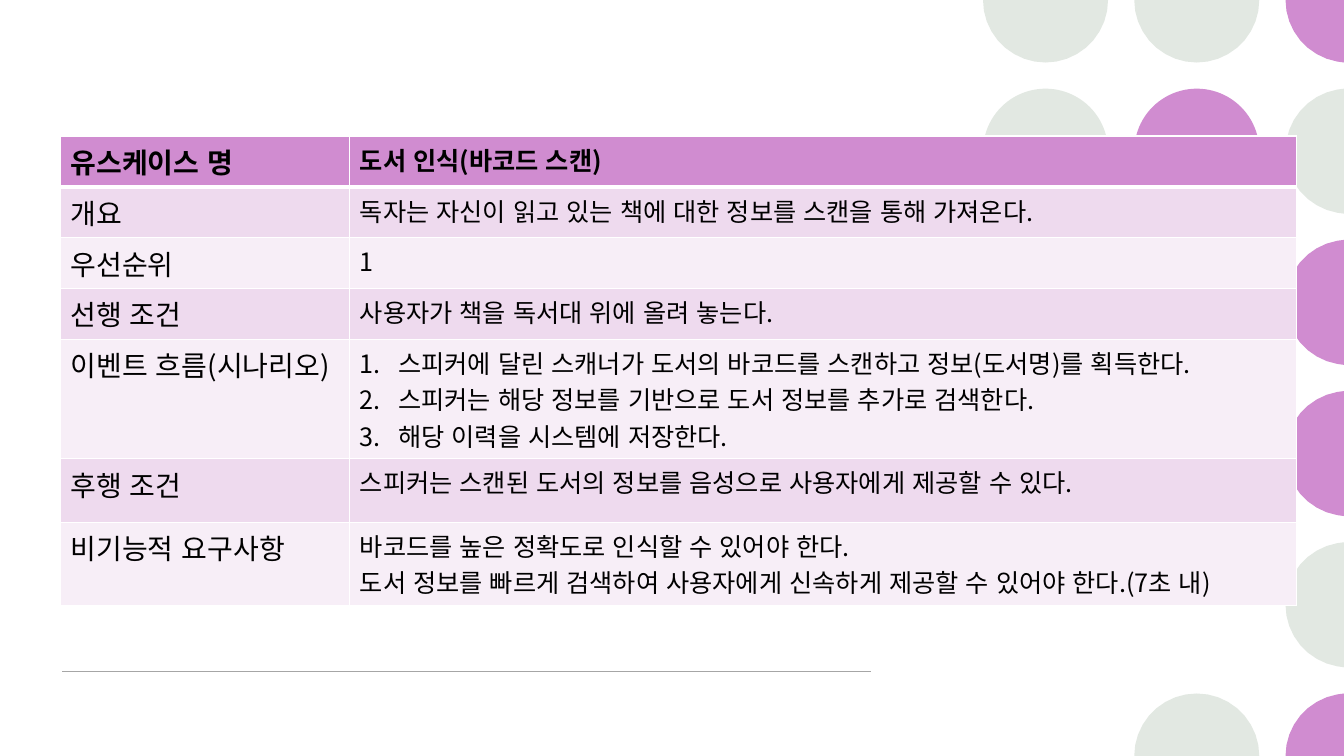
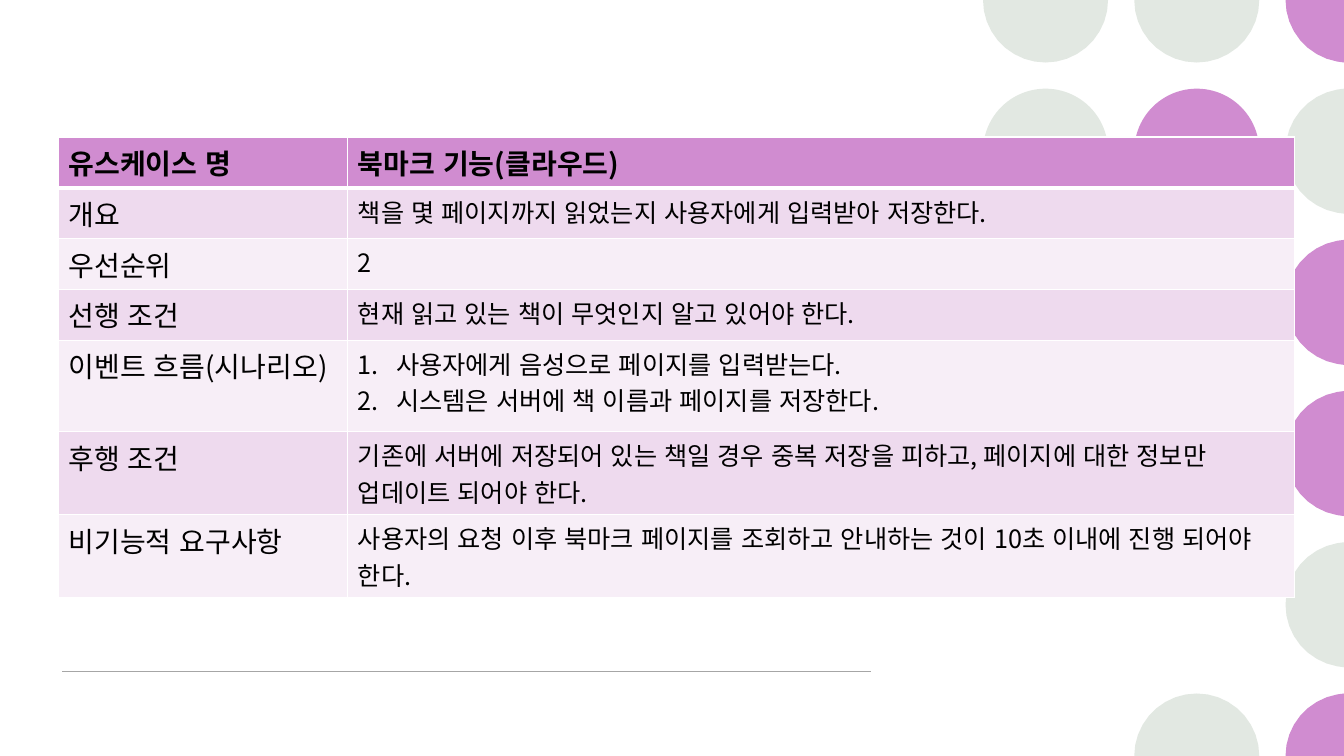
"""Build two use case slides with a shared dotted backdrop."""
from dataclasses import dataclass
from math import cos, radians, sin
from typing import Any

from lxml.etree import SubElement
from pptx import Presentation
from pptx.dml.color import RGBColor
from pptx.enum.lang import MSO_LANGUAGE_ID
from pptx.enum.shapes import MSO_CONNECTOR, MSO_SHAPE
from pptx.oxml.ns import qn
from pptx.util import Inches, Pt

WIDE, HIGH = 13.33, 7.5
STEP = HIGH / 5
FIRST = 10.37
SPAN = 1.24
TURN = 10
DOTS = ("GGP", "GPG", ".GP", ".GP", "..G", ".GP")
TINTS = {"G": "E2E8E2", "P": "D08CD0"}
HEAD, DARK, PALE = "D08CD0", "EEDAEE", "F7EEF7"
INK, RULE, EDGE = "000000", "A6A6A6", "FFFFFF"
FONT = "Noto Sans CJK KR"
COLS = (2.87, 9.39)
INDENT = Inches(0.38)
FLOW = 4
LABELS = ("유스케이스 명", "개요", "우선순위", "선행 조건",
          "이벤트 흐름(시나리오)", "후행 조건", "비기능적 요구사항")


@dataclass(frozen=True)
class Case:
    """One use case table: its place, row heights and right column."""
    left: float
    top: float
    rows: tuple[float, ...]
    size: int
    texts: tuple[tuple[str, ...], ...]


CASES = (
    Case(0.6, 1.35, (0.39, 0.41, 0.39, 0.41, 0.69, 0.63, 0.76), 18, (
        ("도서 인식(바코드 스캔)",),
        ("독자는 자신이 읽고 있는 책에 대한 정보를 스캔을 통해 가져온다.",),
        ("1",),
        ("사용자가 책을 독서대 위에\u00a0올려 놓는다.",),
        ("스피커에 달린 스캐너가 도서의 바코드를 스캔하고 정보(도서명)를 획득한다.",
         "스피커는 해당 정보를 기반으로 도서 정보를 추가로 검색한다.",
         "해당 이력을 시스템에 저장한다."),
        ("스피커는 스캔된 도서의 정보를 음성으로 사용자에게 제공할 수 있다.",),
        ("바코드를 높은 정확도로 인식할 수 있어야 한다.",
         "도서 정보를 빠르게 검색하여 사용자에게 신속하게 제공할 수 있어야 한다.(7초 내)"),
    )),
    Case(0.58, 1.36, (0.45, 0.45, 0.45, 0.45, 0.79, 0.72, 0.79), 20, (
        ("북마크 기능(클라우드)",),
        ("책을 몇 페이지까지 읽었는지 사용자에게 입력받아 저장한다.",),
        ("2",),
        ("현재 읽고 있는 책이 무엇인지 알고 있어야 한다.",),
        ("사용자에게 음성으로 페이지를 입력받는다.",
         "시스템은 서버에 책 이름과 페이지를 저장한다."),
        ("기존에 서버에 저장되어 있는 책일 경우 중복 저장을 피하고, "
         "페이지에 대한 정보만 업데이트 되어야 한다.",),
        ("사용자의 요청 이후 북마크 페이지를 조회하고 안내하는 것이 "
         "10초 이내에 진행 되어야 한다.",),
    )),
)


def tint(code: str) -> RGBColor:
    """Turn a hex string into a colour."""
    return RGBColor.from_string(code)


def paint(item: Any, code: str) -> None:
    """Give a shape or a cell a flat fill."""
    item.fill.solid()
    item.fill.fore_color.rgb = tint(code)


def draw_dot(shapes: Any, x: float, y: float, code: str) -> None:
    """Draw a dot around a centre, cut off at the slide's edges."""
    half = SPAN / 2
    right, top, low = x + half > WIDE, y < half, y > HIGH - half
    if right or top or low:
        start = max(90 * right, 180 * low)
        stop = min(270 if right else 360, 180 if top else 360)
        arc = [(Inches(min(x + half * cos(radians(turn)), WIDE)),
                Inches(y + half * sin(radians(turn))))
               for turn in range(start, stop + 1, TURN)]
        path = shapes.build_freeform(Inches(min(x, WIDE)), Inches(y))
        path.add_line_segments(arc, close=True)
        dot = path.convert_to_shape()
    else:
        dot = shapes.add_shape(MSO_SHAPE.OVAL, Inches(x - half),
                               Inches(y - half), Inches(SPAN), Inches(SPAN))
    paint(dot, code)
    dot.line.fill.background()
    dot.shadow.inherit = False


def draw_back(slide: Any) -> None:
    """Draw the dots and the rule that every slide shares."""
    group = slide.shapes.add_group_shape()
    for row, marks in enumerate(DOTS):
        for col, mark in enumerate(marks):
            if mark in TINTS:
                draw_dot(group.shapes, FIRST + col * STEP, row * STEP,
                         TINTS[mark])
    y = Inches(6.66)
    rule = slide.shapes.add_connector(MSO_CONNECTOR.STRAIGHT, Inches(0.62), y,
                                      Inches(8.64), y)
    rule.line.color.rgb = tint(RULE)
    rule.line.width = Pt(1)
    SubElement(rule._element.spPr, qn("a:effectLst"))


def add_edges(cell: Any, row: int) -> None:
    """Rule a cell's four sides, heavier under the header."""
    props = cell._tc.get_or_add_tcPr()
    heavy = {"T": row == 1, "B": row == 0}
    for side in "LRTB":
        width = Pt(3 if heavy.get(side) else 1)
        line = SubElement(props, qn(f"a:ln{side}"), w=str(width))
        fill = SubElement(line, qn("a:solidFill"))
        SubElement(fill, qn("a:srgbClr"), val=EDGE)


def add_text(cell: Any, texts: tuple[str, ...], size: int, bold: bool,
             count: bool) -> None:
    """Write a cell's paragraphs, numbered on request."""
    frame = cell.text_frame
    for k, text in enumerate(texts):
        para = frame.add_paragraph() if k else frame.paragraphs[0]
        if count:
            props = para._p.get_or_add_pPr()
            props.set("marL", str(INDENT))
            props.set("indent", str(-INDENT))
            SubElement(props, qn("a:buAutoNum"), type="arabicPeriod")
        run = para.add_run()
        run.text = text
        font = run.font
        font.size, font.bold, font.name = Pt(size), bold, FONT
        font.color.rgb = tint(INK)
        font.language_id = MSO_LANGUAGE_ID.KOREAN
        SubElement(run._r.get_or_add_rPr(), qn("a:ea"), typeface=FONT)


def draw_case(slide: Any, case: Case) -> None:
    """Draw one use case as a two-column table."""
    table = slide.shapes.add_table(
        len(LABELS), len(COLS), Inches(case.left), Inches(case.top),
        Inches(sum(COLS)), Inches(sum(case.rows))).table
    table.horz_banding = False
    for col, width in enumerate(COLS):
        table.columns[col].width = Inches(width)
    for row, (label, texts) in enumerate(zip(LABELS, case.texts)):
        table.rows[row].height = Inches(case.rows[row])
        top = row == 0
        code = HEAD if top else DARK if row % 2 else PALE
        size = case.size if top else 18
        for col, (words, points) in enumerate((((label,), 20), (texts, size))):
            cell = table.cell(row, col)
            add_edges(cell, row)
            paint(cell, code)
            add_text(cell, words, points, top, row == FLOW and col == 1)


def main() -> None:
    """Build and save the deck."""
    deck = Presentation()
    deck.slide_width = Inches(WIDE)
    deck.slide_height = Inches(HIGH)
    for case in CASES:
        slide = deck.slides.add_slide(deck.slide_layouts[6])
        draw_back(slide)
        draw_case(slide, case)
    deck.save("out.pptx")


main()
